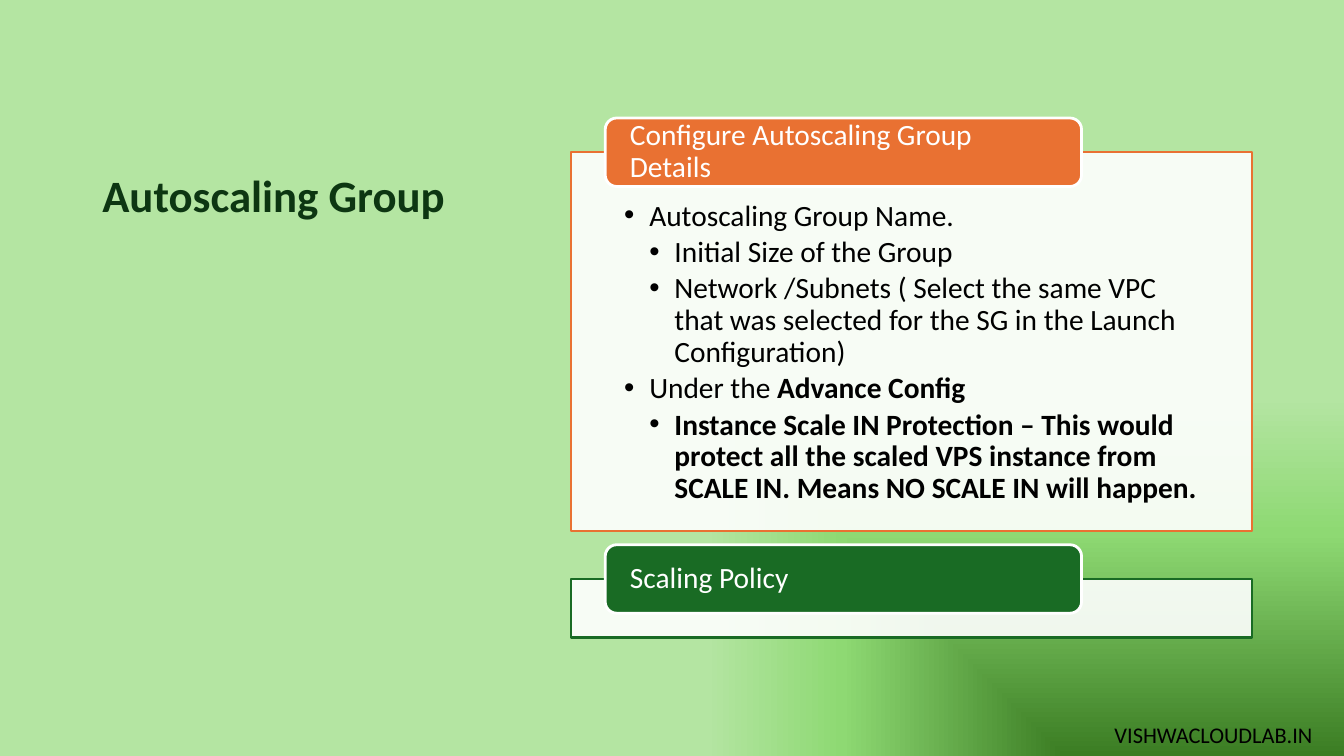
from lxml import etree
from pptx import Presentation
from pptx import util as u
from pptx.dml.color import RGBColor
from pptx.enum import shapes, text
from pptx.oxml.ns import qn

ORANGE = RGBColor(0xE9, 0x71, 0x32)
GREEN = RGBColor(0x19, 0x6B, 0x24)
DARK_GREEN = RGBColor(0x0D, 0x36, 0x12)
WHITE = RGBColor(0xFF, 0xFF, 0xFF)
BLACK = RGBColor(0, 0, 0)
BACKGROUND_STOPS = [(0, "3B7D23"), (59, "8ED973"), (95, "B4E5A2")]

COLUMNS, ROWS = 160, 90
PANEL_LEFT, PANEL_WIDTH = 68, 81
TAB_HEIGHT, TAB_RISE = 8.15, 4.05
BULLET_STEP = 3

DETAILS = [
    (1, [("Autoscaling Group Name.", False)]),
    (2, [("Initial Size of the Group", False)]),
    (2, [("Network /Subnets ( Select the same VPC that was selected for the SG "
          "in the Launch Configuration)", False)]),
    (1, [("Under the ", False), ("Advance Config", True)]),
    (2, [("Instance Scale IN Protection – This would protect all the scaled VPS "
          "instance from SCALE IN. Means NO SCALE IN will happen.", True)]),
]
SECTIONS = [
    ("Configure Autoscaling Group Details", ORANGE, 18.1, 45.1, DETAILS),
    ("Scaling Policy", GREEN, 68.9, 7, []),
]


def add_text(para, content, size=21, color=BLACK, bold=False, font="Calibri"):
    span = para.add_run()
    span.text = content
    span.font.name = font
    span.font.size = u.Pt(size)
    span.font.bold = bold
    span.font.color.rgb = color


class SlideBuilder:
    def __init__(self, deck):
        self.slide = deck.slides.add_slide(deck.slide_layouts[6])
        self.column = deck.slide_width / COLUMNS
        self.row = deck.slide_height / ROWS

    def across(self, columns):
        return u.Emu(round(columns * self.column))

    def down(self, rows):
        return u.Emu(round(rows * self.row))

    def place(self, left, top, width, height):
        return self.across(left), self.down(top), self.across(width), self.down(height)

    def background(self, stops):
        self.slide.background.fill.gradient()
        gradient = next(self.slide.element.iter(qn("a:gradFill")))
        for child in list(gradient):
            gradient.remove(child)
        stop_list = etree.SubElement(gradient, qn("a:gsLst"))
        for position, color in stops:
            stop = etree.SubElement(stop_list, qn("a:gs"), pos=str(position * 1000))
            etree.SubElement(stop, qn("a:srgbClr"), val=color)
        shade = etree.SubElement(gradient, qn("a:path"), path="rect")
        etree.SubElement(shade, qn("a:fillToRect"), l="100000", t="100000")

    def label(self, content, area, anchor=text.MSO_ANCHOR.TOP, **style):
        box = self.slide.shapes.add_textbox(*self.place(*area))
        frame = box.text_frame
        frame.word_wrap = True
        frame.vertical_anchor = anchor
        add_text(frame.paragraphs[0], content, **style)

    def block(self, kind, area, fill, line, weight, margins, anchor):
        shape = self.slide.shapes.add_shape(kind, *self.place(*area))
        shape.shadow.inherit = False
        shape.fill.solid()
        shape.fill.fore_color.rgb = fill
        shape.line.color.rgb = line
        shape.line.width = u.Pt(weight)
        frame = shape.text_frame
        frame.word_wrap = True
        frame.vertical_anchor = anchor
        side, top, bottom = margins
        frame.margin_left = frame.margin_right = self.across(side)
        frame.margin_top, frame.margin_bottom = self.down(top), self.down(bottom)
        return shape

    def bullet(self, para, level, spans):
        properties = para._p.get_or_add_pPr()
        properties.set("marL", str(self.across(level * BULLET_STEP)))
        properties.set("indent", str(self.across(-BULLET_STEP)))
        etree.SubElement(properties, qn("a:buFont"), typeface="Arial")
        etree.SubElement(properties, qn("a:buChar"), char="•")
        para.level = level
        para.alignment = text.PP_ALIGN.LEFT
        para.line_spacing = 0.9
        para.space_after = u.Pt(3.3)
        for content, bold in spans:
            add_text(para, content, bold=bold)

    def panel(self, top, height, color, items):
        shape = self.block(shapes.MSO_SHAPE.RECTANGLE,
                           (PANEL_LEFT, top, PANEL_WIDTH, height),
                           WHITE, color, 1.5, (6.29, 5.8, 1.9), text.MSO_ANCHOR.TOP)
        white = shape.fill._xPr.find(qn("a:solidFill"))[0]
        etree.SubElement(white, qn("a:alpha"), val="90000")
        frame = shape.text_frame
        for index, (level, spans) in enumerate(items):
            para = frame.add_paragraph() if index else frame.paragraphs[0]
            self.bullet(para, level, spans)

    def tab(self, title, panel_top, color):
        area = (PANEL_LEFT + 0.05 * PANEL_WIDTH, panel_top - TAB_RISE,
                0.7 * PANEL_WIDTH, TAB_HEIGHT)
        shape = self.block(shapes.MSO_SHAPE.ROUNDED_RECTANGLE, area,
                           color, WHITE, 2, (2.54, 0, 0), text.MSO_ANCHOR.MIDDLE)
        para = shape.text_frame.paragraphs[0]
        para.alignment = text.PP_ALIGN.LEFT
        para.line_spacing = 0.9
        add_text(para, title, color=WHITE)


def main():
    deck = Presentation()
    deck.slide_width, deck.slide_height = u.Inches(13.33), u.Inches(7.5)
    builder = SlideBuilder(deck)
    builder.background(BACKGROUND_STOPS)
    builder.label("VISHWACLOUDLAB.IN", (131.5, 85.3, 28.2, 4.4), size=16)
    builder.label("Autoscaling Group", (11, 6, 51.6, 21), text.MSO_ANCHOR.BOTTOM,
                  size=32, color=DARK_GREEN, bold=True)
    for title, color, top, height, items in SECTIONS:
        builder.panel(top, height, color, items)
        builder.tab(title, top, color)
    deck.save("out.pptx")


if __name__ == "__main__":
    main()
